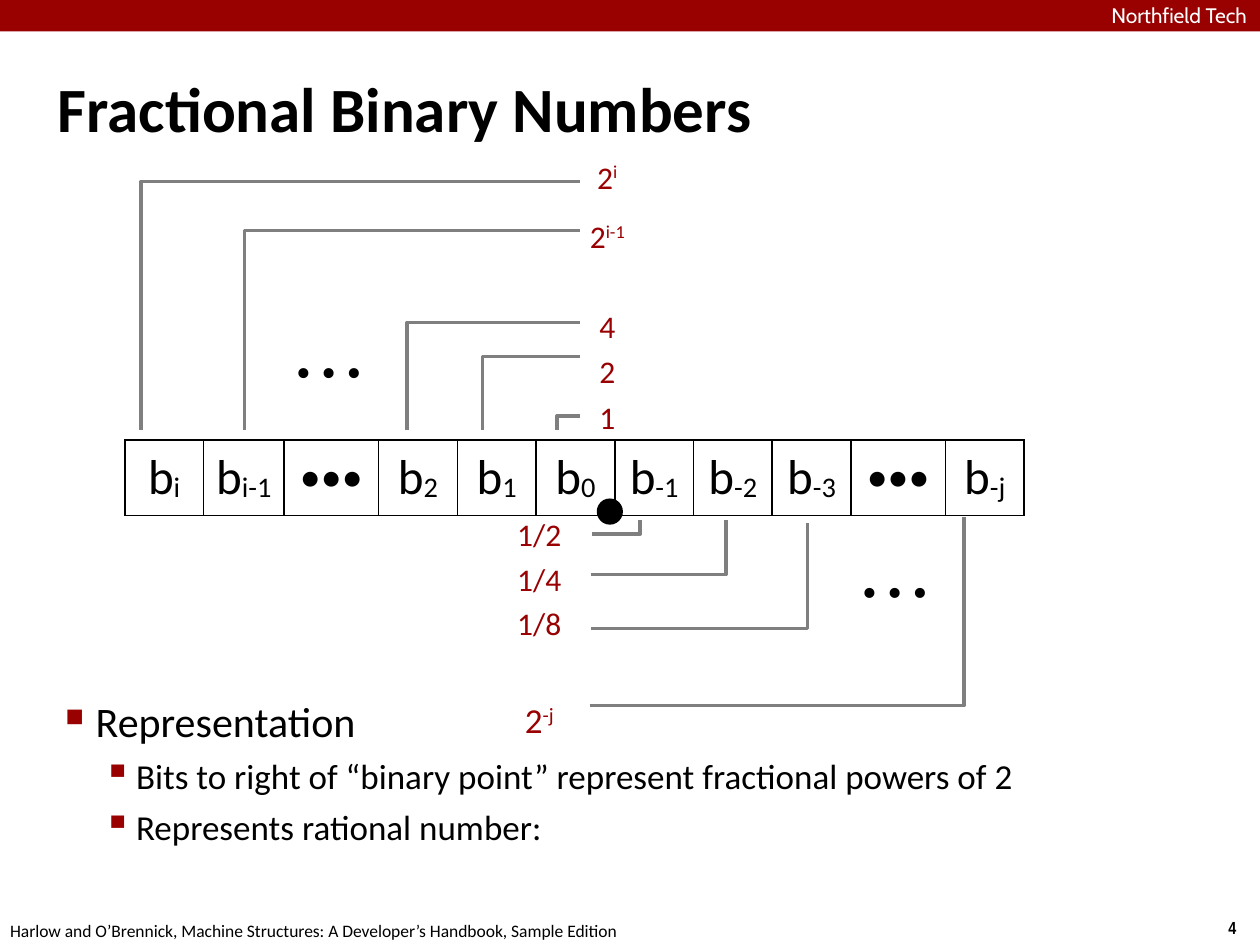
from dataclasses import dataclass
from typing import Any

import pptx
import pptx.dml.color
import pptx.enum.shapes
import pptx.enum.text
import pptx.oxml
import pptx.oxml.ns
import pptx.util
from pptx.util import Inches

BLACK, WHITE, BRIGHT_RED, DARK_RED, GREY = "000000", "FFFFFF", "990000", "980002", "7F7F7F"
CENTER = pptx.enum.text.PP_ALIGN.CENTER
LEFT = pptx.enum.text.PP_ALIGN.LEFT
MIDDLE = pptx.enum.text.MSO_ANCHOR.MIDDLE
TOP = pptx.enum.text.MSO_ANCHOR.TOP
SHAPES = pptx.enum.shapes.MSO_SHAPE
DOTS = "•••"
SPACED_DOTS = "• • •"


@dataclass
class TextStyle:
    """Font settings of a piece of text."""
    size: float
    color: str = BLACK
    name: str = "Calibri"
    bold: bool = False


@dataclass
class Bracket:
    """A right-angled line from a weight label to its bit."""
    label_x: float
    label_y: float
    bit_x: float
    bit_y: float


@dataclass
class Bullet:
    """A bulleted line of the body text."""
    text: str
    size: float
    margin: float
    hanging: float
    character: str
    percent: int
    space_before: float


def color(value: str) -> pptx.dml.color.RGBColor:
    """Turn a hex string into a colour."""
    return pptx.dml.color.RGBColor.from_string(value)


def set_attributes(target: Any, values: dict[str, Any]) -> None:
    """Set every attribute named in a dict."""
    for name, value in values.items():
        setattr(target, name, value)


def add_run(paragraph: Any, text: str, style: TextStyle, baseline: int = 0) -> None:
    """Add a run, raised or lowered by a percentage."""
    run = paragraph.add_run()
    run.text = text
    set_attributes(run.font, {"size": pptx.util.Pt(style.size), "name": style.name, "bold": style.bold})
    run.font.color.rgb = color(style.color)
    if baseline:
        run._r.get_or_add_rPr().set("baseline", str(baseline * 1000))


def set_margins(target: Any, margin: float) -> None:
    """Set the four inner margins of a text frame or cell."""
    sides = ("margin_left", "margin_right", "margin_top", "margin_bottom")
    set_attributes(target, {side: Inches(margin) for side in sides})


def format_frame(frame: Any, margin: float, anchor: Any = TOP, wrap: bool = True) -> None:
    """Set margins, anchor and wrapping of a text frame."""
    set_margins(frame, margin)
    set_attributes(frame, {"vertical_anchor": anchor, "word_wrap": wrap})


def add_label(slide: Any, box: tuple, text: str, style: TextStyle, margin: float = 0.05,
              alignment: Any = CENTER, wrap: bool = False) -> None:
    """Add a one-line text box."""
    frame = slide.shapes.add_textbox(*map(Inches, box)).text_frame
    format_frame(frame, margin, wrap=wrap)
    frame.paragraphs[0].alignment = alignment
    add_run(frame.paragraphs[0], text, style)


def add_filled(slide: Any, kind: Any, box: tuple, fill: str) -> Any:
    """Add a preset shape with a plain fill and no outline."""
    shape = slide.shapes.add_shape(kind, *map(Inches, box))
    shape.shadow.inherit = False
    shape.fill.solid()
    shape.fill.fore_color.rgb = color(fill)
    shape.line.fill.background()
    return shape


def add_ellipsis(slide: Any, left: float, top: float, rotation: float) -> None:
    """Add a white box that holds three dots."""
    shape = add_filled(slide, SHAPES.RECTANGLE, (left, top, 0.61, 0.58), WHITE)
    shape.rotation = rotation
    format_frame(shape.text_frame, 0.04, MIDDLE, False)
    shape.text_frame.paragraphs[0].alignment = LEFT
    add_run(shape.text_frame.paragraphs[0], SPACED_DOTS, TextStyle(24, name="Times New Roman"))


def add_bracket(slide: Any, bracket: Bracket) -> None:
    """Draw one bracket."""
    builder = slide.shapes.build_freeform(Inches(bracket.label_x), Inches(bracket.label_y))
    corner = (Inches(bracket.bit_x), Inches(bracket.label_y))
    end = (Inches(bracket.bit_x), Inches(bracket.bit_y))
    builder.add_line_segments([corner, end], close=False)
    shape = builder.convert_to_shape()
    shape.shadow.inherit = False
    shape.fill.background()
    shape.line.color.rgb = color(GREY)
    shape.line.width = pptx.util.Pt(2)


def set_borders(cell: Any, line_color: str) -> None:
    """Give a cell a one-point border on each side."""
    properties = cell._tc.get_or_add_tcPr()
    for index, side in enumerate(("lnL", "lnR", "lnT", "lnB")):
        properties.insert(index, pptx.oxml.parse_xml(
            f'<a:{side} {pptx.oxml.ns.nsdecls("a")} w="12700"><a:solidFill>'
            f'<a:srgbClr val="{line_color}"/></a:solidFill></a:{side}>'))


def add_grid(slide: Any, left: float, top: float, widths: list, heights: list, entries: list,
             border: str, margin: float, baseline: int) -> None:
    """Add a table; each entry is (base text, shifted text, style)."""
    box = (left, top, sum(widths), sum(heights))
    table = slide.shapes.add_table(len(heights), len(widths), *map(Inches, box)).table
    set_attributes(table, {"first_row": False, "horz_banding": False})
    for column, width in zip(table.columns, widths):
        column.width = Inches(width)
    for row, height in zip(table.rows, heights):
        row.height = Inches(height)
    for cell, (base, shifted, style) in zip(table.iter_cells(), entries):
        set_margins(cell, margin)
        cell.vertical_anchor = MIDDLE
        cell.fill.background()
        set_borders(cell, border)
        paragraph = cell.text_frame.paragraphs[0]
        paragraph.alignment = CENTER
        for text, shift in ((base, 0), (shifted, baseline)):
            if text:
                add_run(paragraph, text, style, shift)


def add_bullet(paragraph: Any, bullet: Bullet) -> None:
    """Fill a paragraph with a bulleted line."""
    paragraph.space_before = pptx.util.Pt(bullet.space_before)
    properties = paragraph._p.get_or_add_pPr()
    properties.set("marL", str(Inches(bullet.margin)))
    properties.set("indent", str(-Inches(bullet.hanging)))
    for tag in (f'buClr {{}}><a:srgbClr val="{BRIGHT_RED}"/></a:buClr>',
                f'buSzPct {{}} val="{bullet.percent * 1000}"/>',
                f'buChar {{}} char="{bullet.character}"/>'):
        properties.append(pptx.oxml.parse_xml("<a:" + tag.format(pptx.oxml.ns.nsdecls("a"))))
    add_run(paragraph, bullet.text, TextStyle(bullet.size))


presentation = pptx.Presentation()
set_attributes(presentation, {"slide_width": Inches(10), "slide_height": Inches(7.5)})
slide = presentation.slides.add_slide(presentation.slide_layouts[5])

title = slide.shapes.title
set_attributes(title, dict(zip(("left", "top", "width", "height"), map(Inches, (0.42, 0, 7.51, 1.7)))))
format_frame(title.text_frame, 0.04, MIDDLE)
title.text_frame.paragraphs[0].alignment = LEFT
add_run(title.text_frame.paragraphs[0], "Fractional Binary Numbers", TextStyle(36, bold=True))

add_label(slide, (9.61, 7.23, 0.34, 0.27), "4", TextStyle(10, name="Arial Narrow", bold=True))
add_label(slide, (0.03, 7.25, 5.08, 0.27),
          "Harlow and O’Brennick, Machine Structures: A Developer’s Handbook, Sample Edition",
          TextStyle(10), alignment=LEFT, wrap=True)
add_filled(slide, SHAPES.RECTANGLE, (0, 0, 10, 0.25), BRIGHT_RED)
add_label(slide, (8.82, 0.02, 1.44, 0.19), "Northfield Tech", TextStyle(12, WHITE, "Cabin"), 0, LEFT, True)

weight = TextStyle(18, DARK_RED)
whole_weights = [("2", "i"), ("2", "i-1"), ("", ""), ("4", ""), ("2", ""), ("1", "")]
add_grid(slide, 4.5, 1.18, [0.64], [0.47, 0.47, 0.29, 0.36, 0.36, 0.36],
         [(*entry, weight) for entry in whole_weights], WHITE, 0, 32)
fraction_weights = [(text, "", weight) for text in ("1/2", "1/4", "1/8", "")]
add_grid(slide, 3.92, 4.08, [0.72], [0.35, 0.35, 0.35, 0.35, 0.49],
         fraction_weights + [("2", "-j", TextStyle(20, DARK_RED))], WHITE, 0, 32)
bits = ["i", "i-1", DOTS, "2", "1", "0", "-1", "-2", "-3", DOTS, "-j"]
bit_widths = [{DOTS: 0.75, "i-1": 0.64}.get(bit, 0.625) for bit in bits]
bit_entries = [(DOTS, "", TextStyle(24)) if bit == DOTS else ("b", bit, TextStyle(28)) for bit in bits]
add_grid(slide, 0.99, 3.49, bit_widths, [0.6], bit_entries, BLACK, 0.06, -6)

add_ellipsis(slide, 6.79, 4.44, 180)

body = slide.shapes.add_textbox(*map(Inches, (0.48, 5.48, 9.27, 2.02))).text_frame
format_frame(body, 0.04)
bullets = [Bullet("Representation", 24, 0.24, 0.24, "■", 60, 0)] + [
    Bullet(text, 20, 0.56, 0.26, "▪", 110, 5)
    for text in ("Bits to right of “binary point” represent fractional powers of 2", "Represents rational number:")]
for index, bullet in enumerate(bullets):
    add_bullet(body.add_paragraph() if index else body.paragraphs[0], bullet)

whole_corners = [(4.42, 3.3), (3.83, 2.83), (3.23, 2.56), (1.94, 1.83), (1.12, 1.44)]
brackets = [Bracket(4.6, y, x, 3.41) for x, y in whole_corners] + [
    Bracket(4.7, 4.24, 5.08, 4.13), Bracket(4.69, 4.56, 5.76, 4.13),
    Bracket(4.69, 4.99, 6.41, 4.15), Bracket(4.68, 5.6, 7.65, 4.1)]
for bracket in brackets:
    add_bracket(slide, bracket)
add_ellipsis(slide, 2.31, 2.65, 0)

binary_point = add_filled(slide, SHAPES.OVAL, (4.75, 3.97, 0.18, 0.18), BLACK)
binary_point.line.color.rgb = color(BLACK)
binary_point.line.width = pptx.util.Pt(2)

presentation.save("out.pptx")
